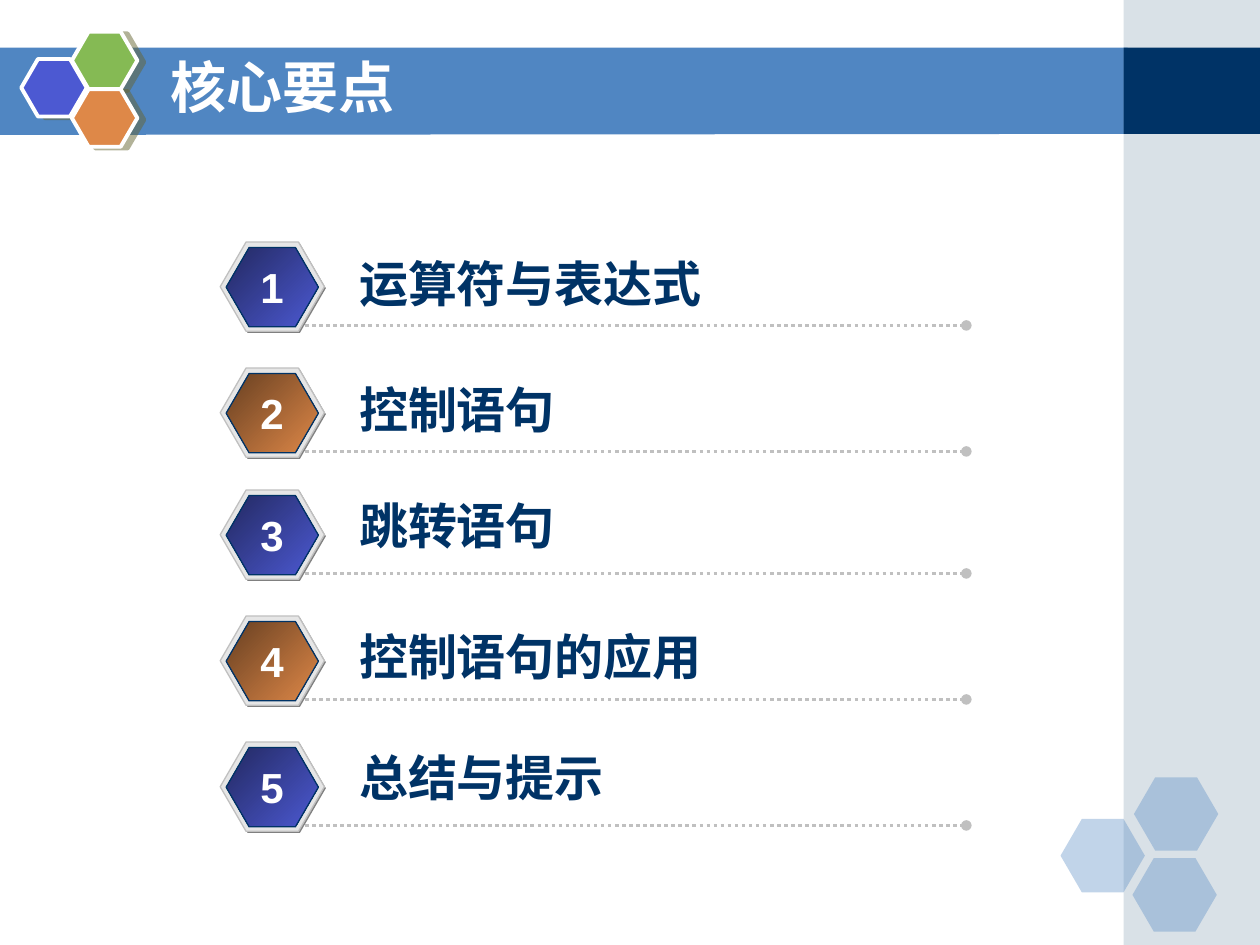
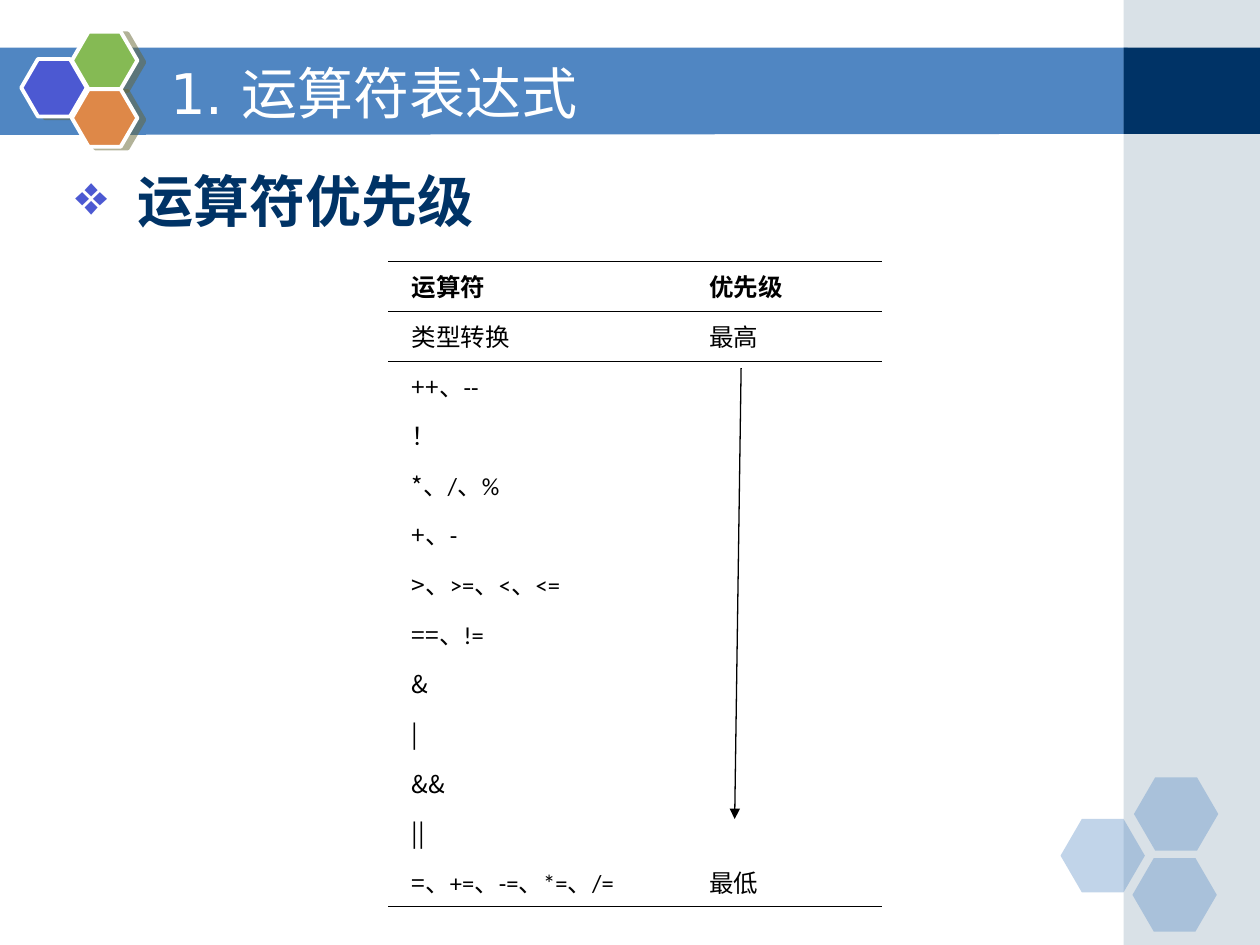
from dataclasses import dataclass

from lxml import etree
from pptx import Presentation
from pptx.dml.color import RGBColor
from pptx.enum.dml import MSO_LINE
from pptx.enum.shapes import MSO_CONNECTOR, MSO_SHAPE
from pptx.enum.text import MSO_ANCHOR, MSO_AUTO_SIZE, PP_ALIGN
from pptx.oxml.ns import qn
from pptx.util import Cm, Pt

HEXAGON = MSO_SHAPE.HEXAGON
RECTANGLE = MSO_SHAPE.RECTANGLE
STRAIGHT = MSO_CONNECTOR.STRAIGHT
DOTTED = MSO_LINE.ROUND_DOT
MIDDLE = MSO_ANCHOR.MIDDLE
NO_AUTOSIZE = MSO_AUTO_SIZE.NONE
LEFT, CENTER = PP_ALIGN.LEFT, PP_ALIGN.CENTER


@dataclass(frozen=True)
class Theme:
    band: str = "5086C2"
    navy: str = "003366"
    side: str = "A0B5C4"
    blue: str = "4C59D2"
    dark_blue: str = "232961"
    green: str = "85BA54"
    orange: str = "DE8848"
    brown: str = "673F21"
    shadow: str = "666633"
    gray: str = "808080"
    silver: str = "C0C0C0"
    pale: str = "E6E6E6"
    white: str = "FFFFFF"
    black: str = "000000"
    heading_size: int = 32
    item_size: int = 28
    number_size: int = 24
    table_size: int = 14
    chinese_font: str = "Noto Sans CJK SC"
    label_font: str = "Arial"
    title_font: str = "DejaVu Sans"
    table_font: str = "Calibri"


theme = Theme()


def add_preset(slide, preset, box, fill, line=None, line_width=0.75, alpha=None):
    shape = slide.shapes.add_shape(preset, *[Cm(length) for length in box])
    shape.shadow.inherit = False
    shape.fill.solid()
    shape.fill.fore_color.rgb = RGBColor.from_string(fill)
    if preset == HEXAGON:
        shape.adjustments[0] = 0.29
    if alpha:
        color = shape._element.spPr.find(qn("a:solidFill"))[0]
        etree.SubElement(color, qn("a:alpha"), val=str(alpha * 1000))
    if line:
        shape.line.color.rgb = RGBColor.from_string(line)
        shape.line.width = Pt(line_width)
    else:
        shape.line.fill.background()
    return shape


def add_run(paragraph, text, size, color, font, bold=False):
    run = paragraph.add_run()
    run.text = text
    run.font.size = Pt(size)
    run.font.bold = bold
    run.font.name = font
    run.font.color.rgb = RGBColor.from_string(color)
    etree.SubElement(run.font._element, qn("a:ea"), typeface=theme.chinese_font)


presentation = Presentation()
presentation.slide_width = Cm(25.4)
presentation.slide_height = Cm(19.05)
title_only = presentation.slide_layouts[5]

# Shared frame: band, side column, hexagons and title
titles = [
    ("核心要点", 0.84, 1.78, theme.chinese_font, True),
    ("1. 运算符表达式", 1.07, 1.57, theme.title_font, False),
]
corner_hexagons = [(21.38, 16.51), (22.86, 15.67), (22.83, 17.3)]
emblem_hexagons = [
    (0.43, 1.19, theme.blue),
    (1.45, 0.64, theme.green),
    (1.45, 1.8, theme.orange),
]
slides = []
for text, top, height, font, bold in titles:
    slide = presentation.slides.add_slide(title_only)
    slides.append(slide)

    builder = slide.shapes.build_freeform(Cm(-0.03), Cm(0.96))
    builder.add_line_segments(
        [(Cm(22.73), Cm(0.96)), (Cm(22.73), Cm(2.7)), (Cm(-0.03), Cm(2.72))]
    )
    band = builder.convert_to_shape()
    band.shadow.inherit = False
    band.fill.solid()
    band.fill.fore_color.rgb = RGBColor.from_string(theme.band)
    band.line.fill.background()

    add_preset(slide, RECTANGLE, (22.65, 0, 2.75, 19.05), theme.side, alpha=40)
    add_preset(slide, RECTANGLE, (22.65, 0.96, 2.75, 1.74), theme.navy)
    for left, hexagon_top in corner_hexagons:
        add_preset(slide, HEXAGON, (left, hexagon_top, 1.7, 1.48), theme.band, alpha=35)
    for left, hexagon_top, color in emblem_hexagons:
        hexagon = add_preset(
            slide, HEXAGON, (left, hexagon_top, 1.32, 1.16), color, theme.white, 2.25
        )
        effects = hexagon._element.spPr.find(qn("a:effectLst"))
        shadow = etree.SubElement(
            effects, qn("a:outerShdw"), dist=str(Pt(4.1)), dir=str(14 * 60000)
        )
        shadow_color = etree.SubElement(shadow, qn("a:srgbClr"), val=theme.shadow)
        etree.SubElement(shadow_color, qn("a:alpha"), val="50000")

    title = slide.shapes.title
    title._element.getparent().append(title._element)
    title.left, title.top, title.width, title.height = (
        Cm(3.18), Cm(top), Cm(18.62), Cm(height)
    )
    frame = title.text_frame
    frame.auto_size = NO_AUTOSIZE
    frame.vertical_anchor = MIDDLE
    paragraph = frame.paragraphs[0]
    paragraph.alignment = LEFT
    add_run(paragraph, text, theme.heading_size, theme.white, font, bold)

agenda, priorities = slides

# Agenda: numbered hexagons with dotted rules
agenda_items = [
    ("运算符与表达式", 4.88, 4.98),
    ("控制语句", 7.42, 7.52),
    ("跳转语句", 9.88, 9.86),
    ("控制语句的应用", 12.42, 12.5),
    ("总结与提示", 14.96, 14.94),
]
badge_gradients = [(theme.dark_blue, theme.blue), (theme.brown, theme.orange)]
for number, (text, top, label_top) in enumerate(agenda_items, start=1):
    rule_y = Cm(top + 1.68)
    rule = agenda.shapes.add_connector(STRAIGHT, Cm(6.15), rule_y, Cm(19.48), rule_y)
    rule.line.color.rgb = RGBColor.from_string(theme.silver)
    rule.line.width = Pt(2)
    rule.line.dash_style = DOTTED
    etree.SubElement(rule.line._get_or_add_ln(), qn("a:tailEnd"), type="oval")
    etree.SubElement(rule._element.spPr, qn("a:effectLst"))

    add_preset(agenda, HEXAGON, (4.47, top + 0.03, 2.1, 1.8), theme.gray)
    add_preset(agenda, HEXAGON, (4.44, top, 2.1, 1.8), theme.pale, theme.silver)
    badge = add_preset(
        agenda, HEXAGON, (4.56, top + 0.11, 1.86, 1.6), theme.blue, theme.navy
    )
    badge.fill.gradient()
    badge.fill.gradient_angle = 315
    for stop, color in zip(badge.fill.gradient_stops, badge_gradients[(number - 1) % 2]):
        stop.color.rgb = RGBColor.from_string(color)

    number_box = agenda.shapes.add_textbox(Cm(5), Cm(top + 0.26), Cm(0.97), Cm(1.27))
    number_box.text_frame.word_wrap = False
    paragraph = number_box.text_frame.paragraphs[0]
    paragraph.alignment = CENTER
    add_run(paragraph, str(number), theme.number_size, theme.white, theme.label_font, True)

    label = agenda.shapes.add_textbox(Cm(6.99), Cm(label_top), Cm(11.9), Cm(1.45))
    label.text_frame.word_wrap = True
    paragraph = label.text_frame.paragraphs[0]
    add_run(paragraph, text, theme.item_size, theme.navy, theme.label_font, True)

# Operator priorities: bulleted heading
heading = priorities.shapes.add_textbox(Cm(1.27), Cm(3.38), Cm(22.86), Cm(1.6))
heading.text_frame.word_wrap = True
paragraph = heading.text_frame.paragraphs[0]
paragraph.line_spacing = 0.9
properties = paragraph._p.get_or_add_pPr()
properties.set("marL", str(Cm(1.25)))
properties.set("indent", str(Cm(-1.25)))
bullet_color = etree.SubElement(properties, qn("a:buClr"))
etree.SubElement(bullet_color, qn("a:srgbClr"), val=theme.blue)
etree.SubElement(properties, qn("a:buChar"), char="❖")
add_run(
    paragraph, "运算符优先级", theme.heading_size, theme.navy, theme.chinese_font, True
)

# Operator priorities: table, each operator cell as lead and remainder
operator_rows = [
    ("运算符", "", "优先级"),
    ("类型转换", "", "最高"),
    ("++", "、--", ""),
    ("！", "", ""),
    ("*", "、/、%", ""),
    ("+", "、-", ""),
    (">", "、>=、<、<=", ""),
    ("==", "、!=", ""),
    ("&", "", ""),
    ("|", "", ""),
    ("&&", "", ""),
    ("||", "", ""),
    ("=", "、+=、-=、*=、/=", "最低"),
]
last_row = len(operator_rows) - 1
rules_below = {0: 0.45, 1: 0.45, last_row: 0.75}
table = priorities.shapes.add_table(
    len(operator_rows), 2, Cm(7.83), Cm(5.28), Cm(9.96), Cm(len(operator_rows))
).table
table.first_row = False
table.horz_banding = False
table.columns[0].width = Cm(6.05)
table.columns[1].width = Cm(3.91)
for row, (lead, remainder, priority) in enumerate(operator_rows):
    lead_font = theme.table_font if row < 2 else theme.chinese_font
    cell_runs = [
        [(lead, lead_font), (remainder, theme.table_font)],
        [(priority, theme.table_font)],
    ]
    for column, runs in enumerate(cell_runs):
        cell = table.cell(row, column)
        cell.margin_left = cell.margin_right = Cm(0.19)
        cell.margin_top = cell.margin_bottom = Cm(0.13 if runs[0][0] else 0)
        paragraph = cell.text_frame.paragraphs[0]
        paragraph._p.get_or_add_pPr().set("marL", str(Cm((0.28, 0.23)[column])))
        for text, font in runs:
            if text:
                add_run(paragraph, text, theme.table_size, theme.black, font, row == 0)

        rule_above = 0.75 if row == 0 else rules_below.get(row - 1)
        borders = {
            "a:lnL": None, "a:lnR": None,
            "a:lnT": rule_above, "a:lnB": rules_below.get(row),
        }
        cell_properties = cell._tc.get_or_add_tcPr()
        for side, width in borders.items():
            border = etree.SubElement(cell_properties, qn(side))
            if width:
                border.set("w", str(Pt(width)))
                border_fill = etree.SubElement(border, qn("a:solidFill"))
                etree.SubElement(border_fill, qn("a:srgbClr"), val=theme.black)
            else:
                etree.SubElement(border, qn("a:noFill"))
        cell.fill.background()
for table_row in table.rows:
    table_row.height = Cm(1)

# Arrow from highest to lowest priority
arrow = priorities.shapes.add_connector(
    STRAIGHT, Cm(14.94), Cm(7.42), Cm(14.81), Cm(16.51)
)
arrow.line.color.rgb = RGBColor.from_string(theme.black)
arrow.line.width = Pt(0.75)
etree.SubElement(arrow.line._get_or_add_ln(), qn("a:tailEnd"), type="triangle")
etree.SubElement(arrow._element.spPr, qn("a:effectLst"))

presentation.save("out.pptx")
